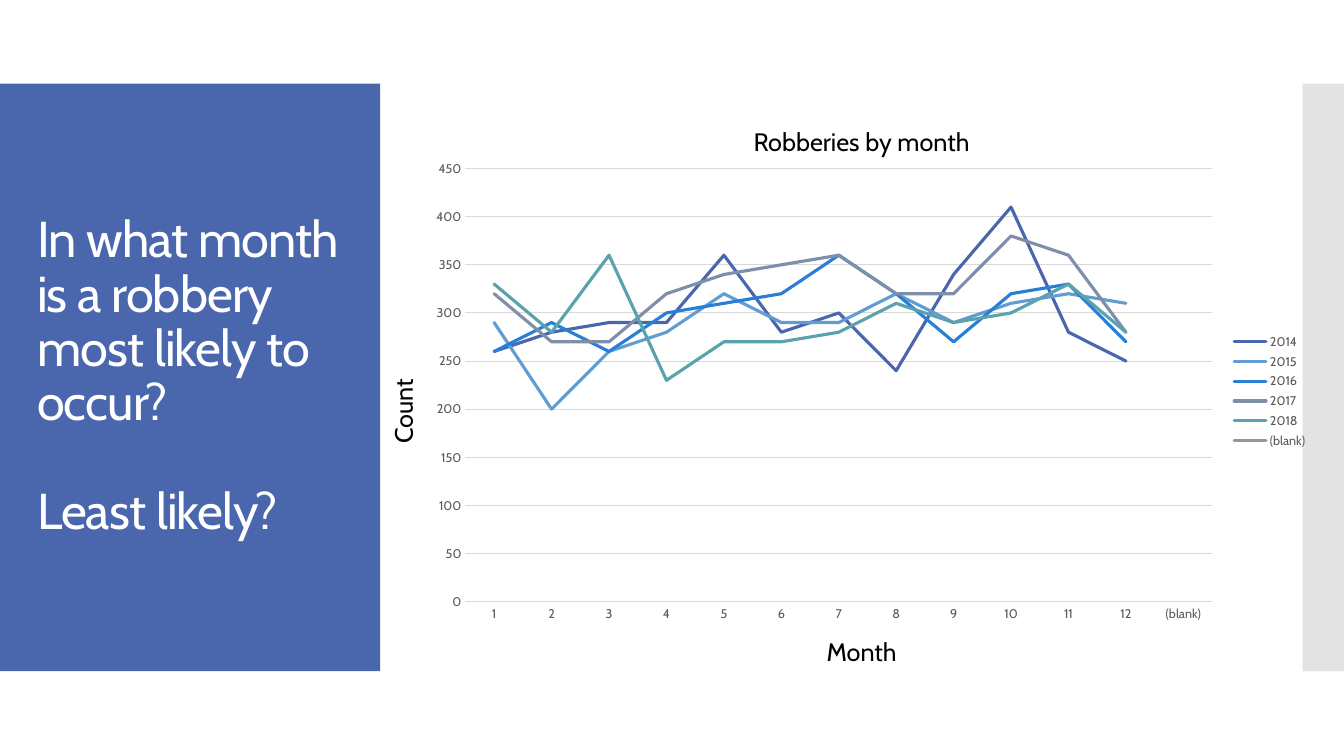
from lxml import etree
from pptx import Presentation
from pptx.chart.data import CategoryChartData
from pptx.dml.color import RGBColor
from pptx.enum.chart import XL_CHART_TYPE, XL_LEGEND_POSITION, XL_TICK_MARK
from pptx.enum.shapes import MSO_SHAPE
from pptx.enum.text import MSO_ANCHOR, MSO_AUTO_SIZE, PP_ALIGN
from pptx.oxml.ns import qn
from pptx.util import Inches, Pt

LINE_CHART = XL_CHART_TYPE.LINE
LEGEND_RIGHT = XL_LEGEND_POSITION.RIGHT
NO_TICK = XL_TICK_MARK.NONE
RECTANGLE = MSO_SHAPE.RECTANGLE
MIDDLE, TOP = MSO_ANCHOR.MIDDLE, MSO_ANCHOR.TOP
GROW, FIXED = MSO_AUTO_SIZE.SHAPE_TO_FIT_TEXT, MSO_AUTO_SIZE.NONE
LEFT, CENTER = PP_ALIGN.LEFT, PP_ALIGN.CENTER

FONT = "Cabin"
BLACK, WHITE, GRAY, GRID = "000000", "FFFFFF", "595959", "D9D9D9"
QUESTIONS = ["In what month is a robbery most likely to occur?", "Least likely?"]
PANELS = [
    ((0, 0.83, 3.77, 5.83), "4A66AC", 100),
    ((12.92, 0.83, 0.42, 5.83), "C8C8C8", 50),
]
LABELS = [
    ("Month", (6.82, 6.26, 3.45, 0.4), 0),
    ("Count", (2.27, 3.88, 3.45, 0.4), 270),
    ("Robberies by month", (6.82, 1.2, 3.45, 0.4), 0),
]
MONTHS = [str(month) for month in range(1, 13)] + ["(blank)"]
ROBBERIES = [
    ("2014", "4A66AC", [260, 280, 290, 290, 360, 280, 300, 240, 340, 410, 280, 250]),
    ("2015", "629DD1", [290, 200, 260, 280, 320, 290, 290, 320, 290, 310, 320, 310]),
    ("2016", "297FD5", [260, 290, 260, 300, 310, 320, 360, 320, 270, 320, 330, 270]),
    ("2017", "7F8FA9", [320, 270, 270, 320, 340, 350, 360, 320, 320, 380, 360, 280]),
    ("2018", "5AA2AE", [330, 280, 360, 230, 270, 270, 280, 310, 290, 300, 330, 280]),
    ("(blank)", "9D90A0", []),
]


def color(code):
    return RGBColor.from_string(code)


def place(spot):
    return [Inches(length) for length in spot]


def style_font(font, size, code):
    font.name, font.size = FONT, Pt(size)
    font.color.rgb = color(code)


def style_line(style, code, width):
    style.line.color.rgb = color(code)
    style.line.width = Pt(width)


def add_panel(page, spot, code, opacity):
    panel = page.shapes.add_shape(RECTANGLE, *place(spot))
    panel.shadow.inherit = False
    panel.fill.solid()
    panel.fill.fore_color.rgb = color(code)
    panel.line.fill.background()
    if opacity < 100:
        shade = panel._element.spPr.find(".//" + qn("a:srgbClr"))
        etree.SubElement(shade, qn("a:alpha")).set("val", str(opacity * 1000))


def add_text(page, lines, spot, size=18, code=BLACK, align=CENTER, anchor=TOP,
             fit=GROW, rotation=0, leading=1.0, gap=0, tracking=0):
    box = page.shapes.add_textbox(*place(spot))
    box.rotation = rotation
    frame = box.text_frame
    frame.word_wrap = True
    frame.auto_size = fit
    frame.vertical_anchor = anchor
    for index, line in enumerate(lines):
        para = frame.add_paragraph() if index else frame.paragraphs[0]
        para.alignment = align
        para.line_spacing = leading
        para.space_before = Pt(gap if index else 0)
        span = para.add_run()
        span.text = line
        style_font(span.font, size, code)
        if tracking:
            span._r.get_or_add_rPr().set("spc", str(round(tracking * 100)))


def add_line_chart(page, spot):
    data = CategoryChartData()
    data.categories = MONTHS
    for name, _, counts in ROBBERIES:
        data.add_series(name, counts + [None] * (len(MONTHS) - len(counts)))
    chart = page.shapes.add_chart(LINE_CHART, *place(spot), data).chart
    style_font(chart.font, 10, BLACK)
    chart.has_title = False
    chart.has_legend = True
    chart.legend.position = LEGEND_RIGHT
    chart.legend.include_in_layout = False
    style_font(chart.legend.font, 9, GRAY)
    plot = chart.plots[0]
    plot.vary_by_categories = False
    for series, (_, code, _) in zip(plot.series, ROBBERIES):
        series.smooth = False
        style_line(series.format, code, 2.25)
        series._element.find(".//" + qn("a:ln")).set("cap", "rnd")
    months, counts = chart.category_axis, chart.value_axis
    for axis in (months, counts):
        axis.major_tick_mark = axis.minor_tick_mark = NO_TICK
        style_font(axis.tick_labels.font, 9, GRAY)
    style_line(months.format, GRID, 0.75)
    counts.format.line.fill.background()
    counts.minimum_scale, counts.maximum_scale, counts.major_unit = 0, 450, 50
    counts.has_major_gridlines = True
    style_line(counts.major_gridlines.format, GRID, 0.75)


def main():
    deck = Presentation()
    deck.slide_width, deck.slide_height = Inches(13.33), Inches(7.5)
    page = deck.slides.add_slide(deck.slide_layouts[6])
    for spot, code, opacity in PANELS:
        add_panel(page, spot, code, opacity)
    add_text(page, QUESTIONS, (0.27, 1.23, 3.23, 5.03), size=36, code=WHITE, align=LEFT,
             anchor=MIDDLE, fit=FIXED, leading=0.9, gap=39, tracking=-0.6)
    add_line_chart(page, (4.15, 1.5, 8.92, 4.76))
    for label, spot, rotation in LABELS:
        add_text(page, [label], spot, rotation=rotation)
    deck.save("out.pptx")


if __name__ == "__main__":
    main()
